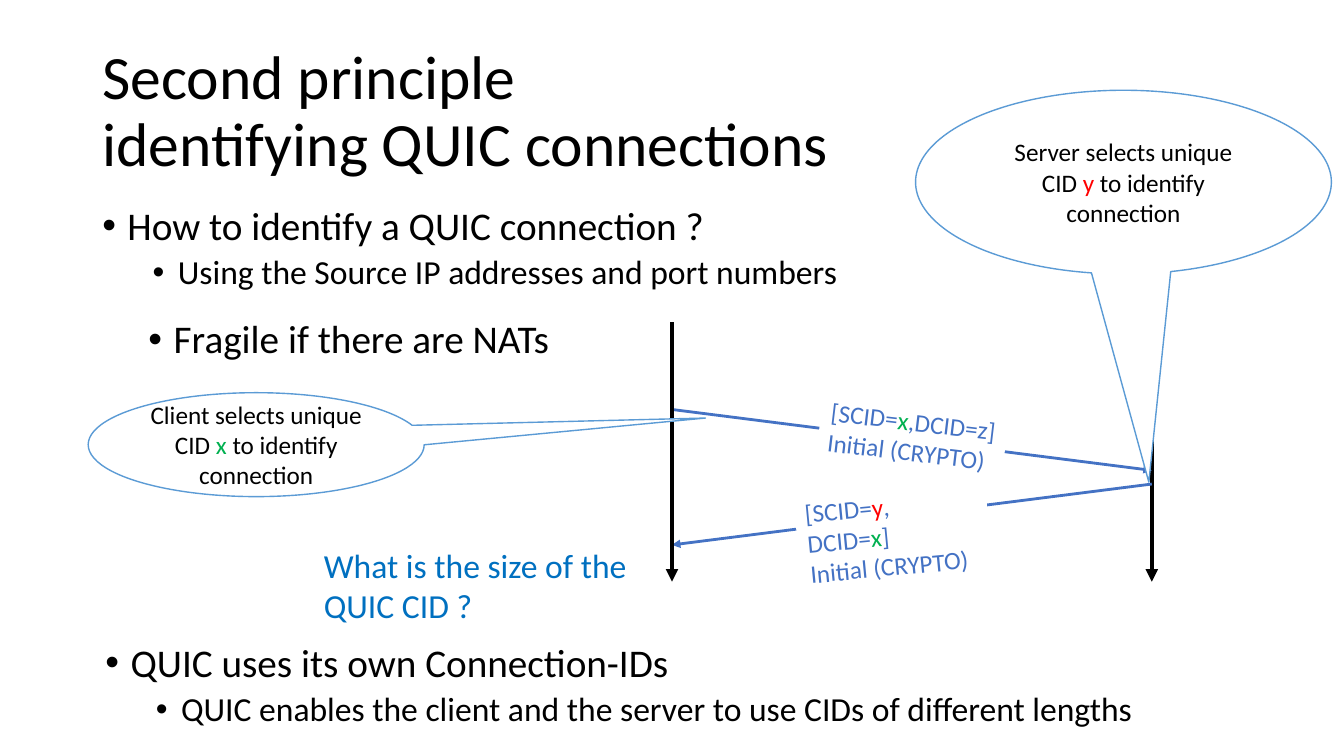
"""Build the slide on how QUIC connections are identified."""
from dataclasses import dataclass

from lxml.etree import SubElement
from pptx import Presentation
from pptx.dml.color import RGBColor
from pptx.enum.shapes import MSO_CONNECTOR, MSO_SHAPE
from pptx.enum.text import MSO_ANCHOR, MSO_AUTO_SIZE, PP_ALIGN
from pptx.oxml.ns import qn
from pptx.util import Emu, Pt

PX = 9525
FONT = "Calibri"
BLACK, WHITE = "000000", "FFFFFF"
MESSAGE_BLUE, CALLOUT_BLUE, QUESTION_BLUE = "4472C4", "5B9BD5", "0070C0"
CLIENT_X, SERVER_X, HOSTS_END = 640, 1097, 554
CLIENT_ID, SERVER_ID = ("x", "00B050"), ("y", "FF0000")
LEVEL_SIZES, LEVEL_MARGINS, LEVEL_SPACES = (28, 24), (24, 72), (10, 5)
HANGING = 24

Box = tuple[int, int, int, int]
Piece = str | tuple[str, str]
Line = list[Piece]


@dataclass(frozen=True)
class BulletList:
    box: Box
    points: list[str]


@dataclass(frozen=True)
class Arrow:
    start: tuple[int, int]
    end: tuple[int, int]
    color: str
    weight: int


@dataclass(frozen=True)
class MessageLabel:
    box: Box
    rotation: float
    header: Line


@dataclass(frozen=True)
class Callout:
    box: Box
    pointer: tuple[float, float]
    chooser: str
    chosen: tuple[str, str]


LISTS = [
    BulletList((88, 192, 1104, 100), ["How to identify a QUIC connection ?",
                                      "Using the Source IP addresses and port numbers"]),
    BulletList((132, 300, 480, 56), ["Fragile if there are NATs"]),
    BulletList((91, 608, 1104, 100), ["QUIC uses its own Connection-IDs",
                                      "QUIC enables the client and the server to use CIDs of different lengths"]),
]
ARROWS = [
    Arrow((SERVER_X, 314), (SERVER_X, HOSTS_END), BLACK, 3),
    Arrow((CLIENT_X, 390), (SERVER_X, 448), MESSAGE_BLUE, 2),
    Arrow((SERVER_X, 461), (CLIENT_X, 519), MESSAGE_BLUE, 2),
    Arrow((CLIENT_X, 307), (CLIENT_X, HOSTS_END), BLACK, 3),
]
LABELS = [
    MessageLabel((780, 382, 178, 68), 6.9, ["[SCID=", CLIENT_ID, ",DCID=z]"]),
    MessageLabel((758, 462, 183, 68), -5.4, ["[SCID=", SERVER_ID, ", DCID=", CLIENT_ID, "]"]),
]
CALLOUTS = [
    Callout((84, 374, 320, 99), (1.337, -0.256), "Client", CLIENT_ID),
    Callout((872, 86, 396, 175), (0.061, 1.633), "Server", SERVER_ID),
]


def px(*lengths: int) -> list[Emu]:
    """Turn pixel lengths into EMU."""
    return [Emu(length * PX) for length in lengths]


def rgb(color: str) -> RGBColor:
    """Turn a hex string into a colour."""
    return RGBColor.from_string(color)


def style(paragraph, size: int, color: str) -> None:
    """Set the font of a whole paragraph."""
    font = paragraph.font
    font.name, font.size = FONT, Pt(size)
    font.color.rgb = rgb(color)


def write(frame, lines: list[Line], size: int, color: str, align=PP_ALIGN.LEFT) -> None:
    """Write lines whose coloured pieces are (text, colour) pairs."""
    for index, line in enumerate(lines):
        paragraph = frame.add_paragraph() if index else frame.paragraphs[0]
        paragraph.alignment = align
        style(paragraph, size, color)
        for piece in line:
            text, piece_color = (piece, color) if isinstance(piece, str) else piece
            run = paragraph.add_run()
            run.text = text
            run.font.color.rgb = rgb(piece_color)


def add_title(slide) -> None:
    """Place and format the title."""
    title = slide.shapes.title
    title.left, title.top, title.width, title.height = px(88, 38, 1104, 139)
    frame = title.text_frame
    frame.text = "Second principle\videntifying QUIC connections"
    frame.auto_size, frame.vertical_anchor = MSO_AUTO_SIZE.NONE, MSO_ANCHOR.MIDDLE
    heading = frame.paragraphs[0]
    heading.alignment, heading.line_spacing = PP_ALIGN.LEFT, 0.9
    style(heading, 44, BLACK)


def add_list(slide, bullets: BulletList) -> None:
    """Draw a list with one point on each level."""
    frame = slide.shapes.add_textbox(*px(*bullets.box)).text_frame
    frame.word_wrap = True
    for level, point in enumerate(bullets.points):
        paragraph = frame.add_paragraph() if level else frame.paragraphs[0]
        paragraph.text, paragraph.level, paragraph.line_spacing = point, level, 0.9
        if level:
            paragraph.space_before = Pt(LEVEL_SPACES[level])
        properties = paragraph._p.get_or_add_pPr()
        properties.set("marL", str(LEVEL_MARGINS[level] * PX))
        properties.set("indent", str(-HANGING * PX))
        SubElement(properties, qn("a:buFont"), typeface="Arial")
        SubElement(properties, qn("a:buChar"), char="•")
        style(paragraph, LEVEL_SIZES[level], BLACK)


def add_arrow(slide, arrow: Arrow) -> None:
    """Draw a straight arrow."""
    connector = slide.shapes.add_connector(
        MSO_CONNECTOR.STRAIGHT, *px(*arrow.start, *arrow.end))
    connector.line.color.rgb = rgb(arrow.color)
    connector.line.width = Pt(arrow.weight)
    SubElement(connector.line._get_or_add_ln(), qn("a:tailEnd"), type="triangle")
    SubElement(connector._element.spPr, qn("a:effectLst"))


def add_label(slide, label: MessageLabel) -> None:
    """Draw a tilted message label over its arrow."""
    message = slide.shapes.add_textbox(*px(*label.box))
    message.rotation = label.rotation
    message.fill.solid()
    message.fill.fore_color.rgb = rgb(WHITE)
    frame = message.text_frame
    frame.word_wrap, frame.auto_size = False, MSO_AUTO_SIZE.SHAPE_TO_FIT_TEXT
    write(frame, [label.header, ["Initial (CRYPTO)"]], 18, MESSAGE_BLUE)


def add_callout(slide, callout: Callout) -> None:
    """Draw an elliptical callout about a chosen connection ID."""
    bubble = slide.shapes.add_shape(MSO_SHAPE.OVAL_CALLOUT, *px(*callout.box))
    bubble.adjustments[0], bubble.adjustments[1] = callout.pointer
    bubble.shadow.inherit = False
    bubble.fill.solid()
    bubble.fill.fore_color.rgb = rgb(WHITE)
    bubble.line.color.rgb = rgb(CALLOUT_BLUE)
    bubble.line.width = Pt(1)
    frame = bubble.text_frame
    frame.word_wrap, frame.vertical_anchor = True, MSO_ANCHOR.MIDDLE
    write(frame, [[f"{callout.chooser} selects unique"],
                  ["CID ", callout.chosen, " to identify connection"]],
          18, BLACK, PP_ALIGN.CENTER)


def main() -> None:
    """Build and save the slide."""
    deck = Presentation()
    deck.slide_width, deck.slide_height = px(1280, 720)
    slide = deck.slides.add_slide(deck.slide_layouts[5])
    add_title(slide)
    for draw, items in ((add_list, LISTS), (add_arrow, ARROWS),
                        (add_label, LABELS), (add_callout, CALLOUTS)):
        for item in items:
            draw(slide, item)
    question = slide.shapes.add_textbox(*px(299, 514, 338, 87)).text_frame
    question.word_wrap = True
    write(question, [["What is the size of the QUIC CID ?"]], 24, QUESTION_BLUE)
    deck.save("out.pptx")


if __name__ == "__main__":
    main()
